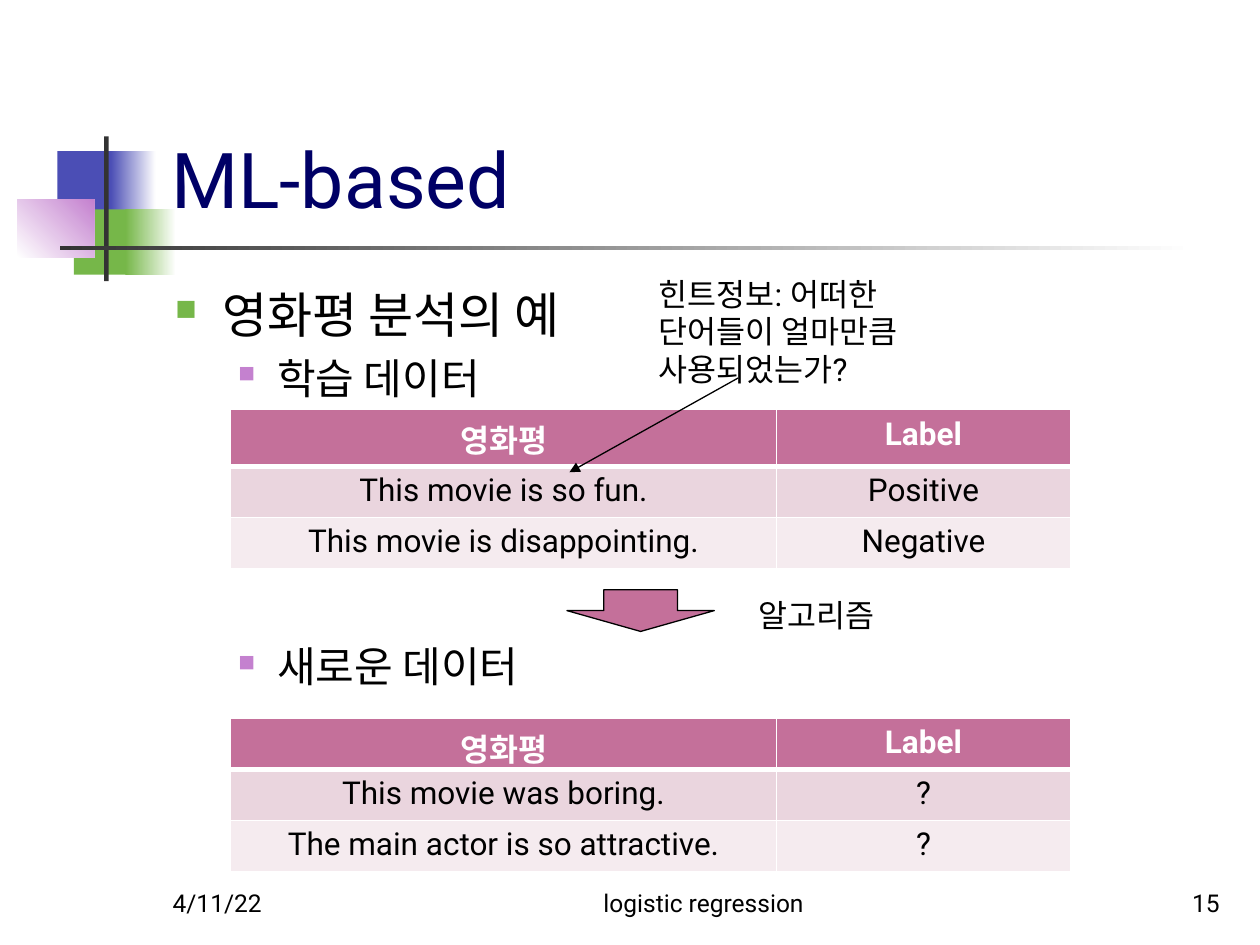
from lxml.etree import SubElement
from pptx import Presentation
from pptx.dml.color import RGBColor
from pptx.enum.shapes import MSO_CONNECTOR as Connector, MSO_SHAPE as Shape
from pptx.enum.text import MSO_ANCHOR as Anchor, PP_ALIGN as Align
from pptx.oxml.ns import qn
from pptx.util import Cm, Pt

BLUE, GREEN, LILAC, DARK = "4B4EB5", "76B749", "C481CF", "333333"
WHITE, BLACK, NAVY, ROSE = "FFFFFF", "000000", "000066", "C4709A"
ROW_FILLS = [ROSE, "EAD5DE", "F5EBEF"]
COLUMN_SHARES = [0.65, 0.35]


def colour(hex_text):
    """Turn a hex string into a colour."""
    return RGBColor.from_string(hex_text)


def place(box):
    """Turn a box in centimetres into lengths."""
    return [Cm(value) for value in box]


def apply(target, values):
    """Set every attribute named in values."""
    for name, value in values.items():
        setattr(target, name, value)


def style_font(font, size, hex_text=BLACK, bold=False):
    """Give a font its face, size, weight and colour."""
    apply(font, {"name": "Roboto", "size": Pt(size), "bold": bold})
    font.color.rgb = colour(hex_text)


def add_label(page, box, text, size, hex_text=BLACK, align=Align.LEFT,
              anchor=Anchor.TOP, wrap=True):
    """Add a one-paragraph text box."""
    frame = page.shapes.add_textbox(*place(box)).text_frame
    apply(frame, {"word_wrap": wrap, "vertical_anchor": anchor})
    para = frame.paragraphs[0]
    apply(para, {"text": text, "alignment": align})
    style_font(para.font, size, hex_text)


def add_block(page, box, start, end=None, angle=0):
    """Add a borderless rectangle, fading from start to end if end is given."""
    block = page.shapes.add_shape(Shape.RECTANGLE, *place(box))
    block.shadow.inherit = False
    block.line.fill.background()
    if end is None:
        block.fill.solid()
        block.fill.fore_color.rgb = colour(start)
        return
    block.fill.gradient()
    block.fill.gradient_angle = angle
    for stop, position, hex_text in zip(block.fill.gradient_stops, (0, 1), (start, end)):
        stop.position = position
        stop.color.rgb = colour(hex_text)


def add_emblem(page, box):
    """Draw the overlapping squares and crossing bars beside the title."""
    left, top, width, height = box
    parts = [
        ((0.81, 0.3, 1.22, 1.32), BLUE, None, 0),
        ((1.88, 0.3, 0.91, 1.32), BLUE, WHITE, 0),
        ((1.14, 1.47, 1.17, 1.32), GREEN, None, 0),
        ((2.18, 1.47, 1.02, 1.32), GREEN, WHITE, 0),
        ((0, 1.27, 1.55, 1.17), WHITE, LILAC, 45),
        ((1.75, 0, 0.09, height), DARK, None, 0),
        ((0.86, 2.2, width - 0.86, 0.09), DARK, WHITE, 0),
    ]
    for (x, y, part_width, part_height), start, end, angle in parts:
        add_block(page, (left + x, top + y, part_width, part_height), start, end, angle)


def add_bullet(para, hex_text, percent, margin, hanging):
    """Give a paragraph a square bullet and a hanging indent."""
    props = para._p.get_or_add_pPr()
    props.set("marL", str(Cm(margin)))
    props.set("indent", str(-Cm(hanging)))
    bullet_colour = SubElement(props, qn("a:buClr"))
    SubElement(bullet_colour, qn("a:srgbClr"), val=hex_text)
    SubElement(props, qn("a:buSzPct"), val=str(percent * 1000))
    SubElement(props, qn("a:buChar"), char="■")


def add_outline(page, box):
    """Add the bulleted outline, leaving room for the first table."""
    frame = page.shapes.add_textbox(*place(box)).text_frame
    frame.word_wrap = True
    first = (GREEN, 60, 0.95, 0.95)
    second = (LILAC, 55, 2.06, 0.79)
    items = [
        ("영화평 분석의 예", 0, 28, 0, first),
        ("학습 데이터", 1, 24, 5, second),
        ("새로운 데이터", 1, 24, 136, second),
    ]
    for index, (text, level, size, gap, bullet) in enumerate(items):
        para = frame.add_paragraph() if index else frame.paragraphs[0]
        apply(para, {"text": text, "level": level})
        if gap:
            para.space_before = Pt(gap)
        add_bullet(para, *bullet)
        style_font(para.font, size)


def add_borders(cell, bottom):
    """Draw white cell borders with the given bottom width."""
    props = cell._tc.get_or_add_tcPr()
    for side, width in (("L", 1), ("R", 1), ("T", 1), ("B", bottom)):
        line = SubElement(props, qn(f"a:ln{side}"), w=str(Pt(width)))
        fill = SubElement(line, qn("a:solidFill"))
        SubElement(fill, qn("a:srgbClr"), val=WHITE)


def add_reviews(page, box, header_height, reviews):
    """Add a table of movie reviews and their labels."""
    rows = [("영화평", "Label"), *reviews]
    table = page.shapes.add_table(len(rows), 2, *place(box)).table
    for column, share in zip(table.columns, COLUMN_SHARES):
        column.width = Cm(box[2] * share)
    row_height = (box[3] - header_height) / len(reviews)
    for index, (row, texts) in enumerate(zip(table.rows, rows)):
        header = index == 0
        row.height = Cm(header_height if header else row_height)
        for cell, text in zip(row.cells, texts):
            add_borders(cell, 3 if header else 1)
            cell.fill.solid()
            cell.fill.fore_color.rgb = colour(ROW_FILLS[index])
            cell.margin_bottom = 0
            para = cell.text_frame.paragraphs[0]
            apply(para, {"text": text, "alignment": Align.CENTER})
            style_font(para.font, 18, WHITE if header else BLACK, header)


def add_algorithm(page, box):
    """Add the down arrow and the label to its right."""
    left, top, width, height = box
    arrow = page.shapes.add_shape(Shape.DOWN_ARROW, *place((left, top, 2.97, height)))
    arrow.shadow.inherit = False
    arrow.fill.solid()
    arrow.fill.fore_color.rgb = colour(ROSE)
    arrow.line.color.rgb = colour(BLACK)
    arrow.line.width = Pt(0.75)
    add_label(page, (left + 3.61, top, width - 3.61, 1.02), "알고리즘", 18, wrap=False)


def add_hint(page, box):
    """Add the hint text and the arrow from it to the first review."""
    left, top = box[:2]
    add_label(page, box, "힌트정보: 어떠한 단어들이 얼마만큼 사용되었는가?", 18)
    ends = (left + 1.85, top + 2.21, left - 1.55, top + 4.11)
    pointer = page.shapes.add_connector(Connector.STRAIGHT, *place(ends))
    pointer.line.color.rgb = colour(BLACK)
    pointer.line.width = Pt(0.75)
    SubElement(pointer.line._get_or_add_ln(), qn("a:tailEnd"), type="triangle")
    SubElement(pointer._element.spPr, qn("a:effectLst"))


def add_footer(page, box):
    """Add the date, the topic and the page number."""
    left, top, width, height = box
    parts = [
        (0, 5.28, "4/11/22", Align.LEFT),
        (6.93, 8.05, "logistic regression", Align.CENTER),
        (width - 5.28, 5.28, "15", Align.RIGHT),
    ]
    for x, part_width, text, align in parts:
        add_label(page, (left + x, top, part_width, height), text, 14,
                  align=align, anchor=Anchor.BOTTOM)


def main():
    """Build the slide and save it."""
    deck = Presentation()
    apply(deck, {"slide_width": Cm(25.4), "slide_height": Cm(19.05)})
    page = deck.slides.add_slide(deck.slide_layouts[6])
    add_emblem(page, (0.35, 2.75, 23.73, 2.92))
    add_label(page, (3.2, 0.58, 21.64, 4.06), "ML-based", 44, NAVY, anchor=Anchor.BOTTOM)
    add_outline(page, (3.28, 5.61, 21.59, 11.43))
    add_reviews(page, (4.65, 8.26, 16.93, 3.2), 1.14, [
        ("This movie is so fun.", "Positive"),
        ("This movie is disappointing.", "Negative"),
    ])
    add_algorithm(page, (11.43, 11.89, 6.68, 0.84))
    add_reviews(page, (4.65, 14.48, 16.93, 3.09), 1.03, [
        ("This movie was boring.", "?"),
        ("The main actor is so attractive.", "?"),
    ])
    add_footer(page, (3.23, 17.35, 21.61, 1.27))
    add_hint(page, (13.03, 5.41, 6.86, 2.57))
    deck.save("out.pptx")


if __name__ == "__main__":
    main()
